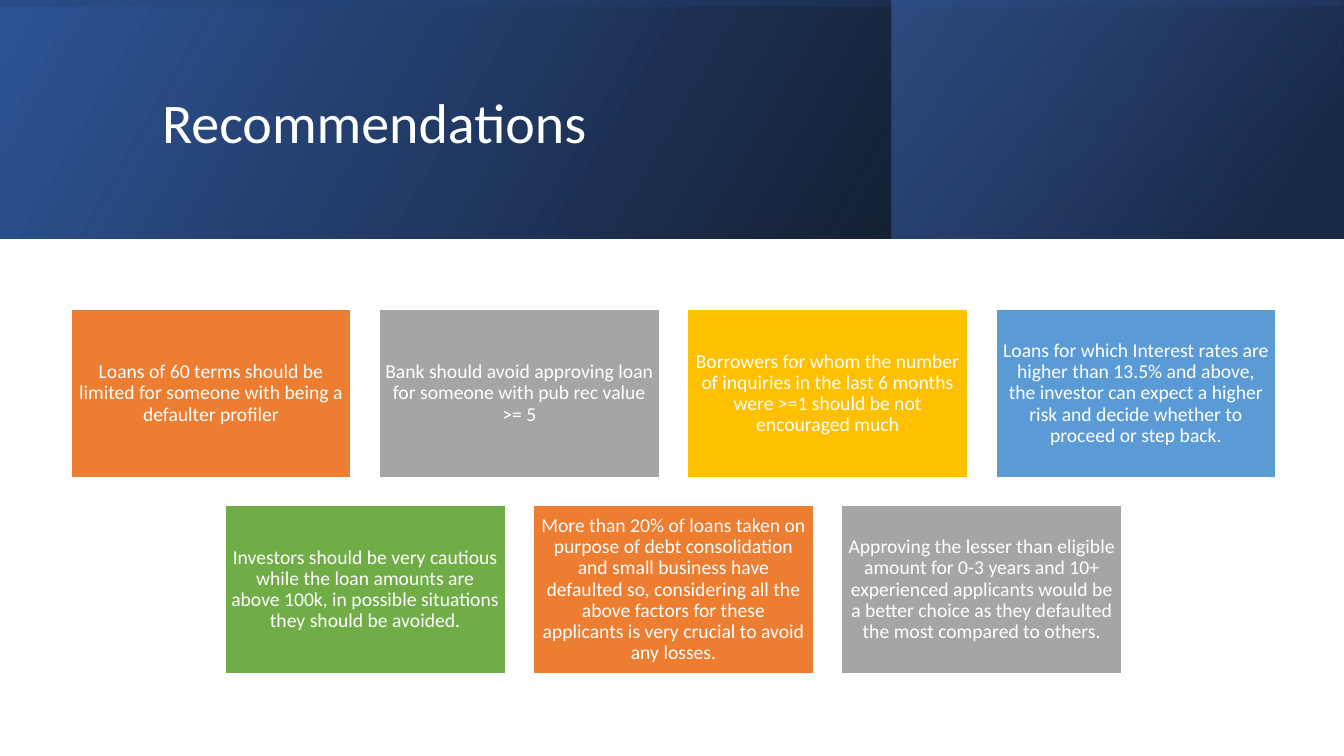
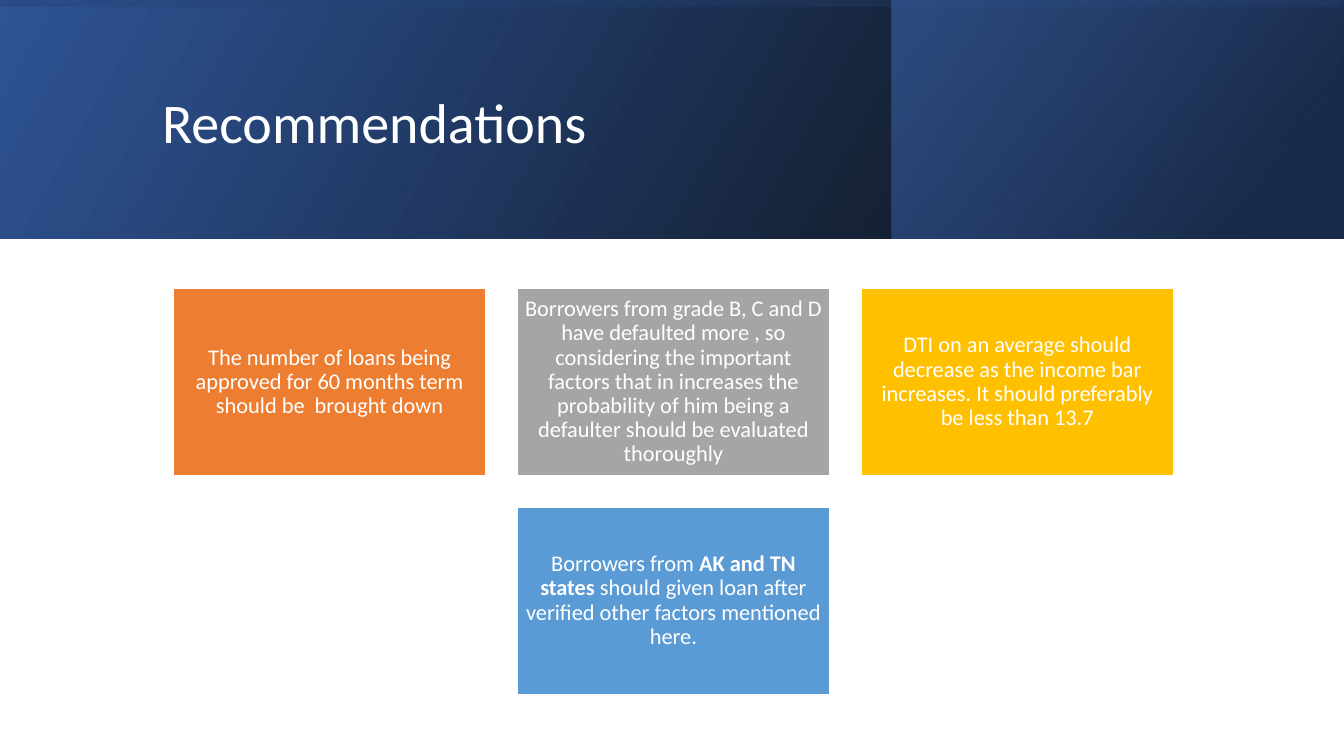
from pptx import Presentation
from pptx.dml.color import RGBColor
from pptx.enum.shapes import MSO_SHAPE
from pptx.enum.text import MSO_ANCHOR, PP_ALIGN
from pptx.oxml.ns import qn
from pptx.util import Inches, Pt
from lxml import etree

RECT = MSO_SHAPE.RECTANGLE
MIDDLE = MSO_ANCHOR.MIDDLE
CENTER = PP_ALIGN.CENTER

THEME = {
    "font": "Calibri",
    "white": "FFFFFF",
    "cards": ["ED7D31", "A5A5A5", "FFC000", "5B9BD5", "70AD47"],
    "title": 40,
    "spacing": 0.9,
}

BANDS = [
    {"box": (0, 0, 13.33, 2.37), "turn": 0, "angle": 30,
     "stops": [(0, "000000", 96), (100, "2F5597", 100)]},
    {"box": (8.84, 0, 4.48, 2.37), "turn": 0, "angle": 40,
     "stops": [(19, "203864", 68), (100, "4472C4", 48)]},
    {"box": (5.48, -5.48, 2.37, 13.33), "turn": 270, "angle": 10,
     "stops": [(23, "2F5597", 16), (99, "000000", 45)]},
]

SLIDES = [
    {"title": "Recommendations", "cols": 4, "top": 3.07, "width": 2.78,
     "size": 14, "inset": 0.06, "cards": [
         "Loans of 60 terms should be limited for someone with being a defaulter profiler",
         "Bank should avoid approving loan for someone with pub rec value >= 5",
         "Borrowers for whom the number of inquiries in the last 6 months were >=1 "
         "should be not encouraged much",
         "Loans for which Interest rates are higher than 13.5% and above, the investor "
         "can expect a higher risk and decide whether to proceed or step back.",
         "Investors should be very cautious while the loan amounts are above 100k, "
         "in possible situations they should be avoided.",
         "More than 20% of loans taken on purpose of debt consolidation and small business "
         "have defaulted so, considering all the above factors for these applicants "
         "is very crucial to avoid any losses.",
         "Approving the lesser than eligible amount for 0-3 years and 10+ experienced "
         "applicants would be a better choice as they defaulted the most compared to others.",
     ]},
    {"title": "Recommendations", "cols": 3, "top": 2.86, "width": 3.1,
     "size": 16, "inset": 0.07, "cards": [
         "The number of loans being approved for 60 months term should be  brought down",
         "Borrowers from grade B, C and D have defaulted more , so considering the important "
         "factors that in increases the probability of him being a defaulter "
         "should be evaluated thoroughly",
         "DTI on an average should decrease as the income bar increases. "
         "It should preferably be less than 13.7",
         "Borrowers from *AK and TN states* should given loan after verified other "
         "factors mentioned here.",
     ]},
]

MID = 6.68
RATIO = 0.6
GAP = 0.1


def color(name):
    return RGBColor.from_string(name)


def add_rect(slide, box):
    shape = slide.shapes.add_shape(RECT, *map(Inches, box))
    shape.shadow.inherit = False
    return shape


def style(para, size):
    para.line_spacing = THEME["spacing"]
    para.font.name = THEME["font"]
    para.font.size = Pt(size)
    para.font.color.rgb = color(THEME["white"])


def add_band(slide, band):
    shape = add_rect(slide, band["box"])
    shape.line.fill.background()
    shape.rotation = band["turn"]
    props = shape._element.spPr
    props.find(qn("a:xfrm")).set("flipH", "1")
    shape.fill.gradient()
    shape.fill.gradient_angle = band["angle"]
    for stop, (place, tint, _) in zip(shape.fill.gradient_stops, band["stops"]):
        stop.position = place / 100
        stop.color.rgb = color(tint)
    for node, (_, _, alpha) in zip(props.iter(qn("a:srgbClr")), band["stops"]):
        etree.SubElement(node, qn("a:alpha")).set("val", str(alpha * 1000))


def add_title(slide, text):
    box = slide.shapes.add_textbox(*map(Inches, (1.51, 0.38, 10.63, 1.72)))
    frame = box.text_frame
    frame.word_wrap = True
    frame.vertical_anchor = MIDDLE
    frame.text = text
    style(frame.paragraphs[0], THEME["title"])


def add_card(slide, box, text, tint, size, inset):
    shape = add_rect(slide, box)
    shape.fill.solid()
    shape.fill.fore_color.rgb = color(tint)
    shape.line.color.rgb = color(THEME["white"])
    shape.line.width = Pt(1)
    frame = shape.text_frame
    frame.word_wrap = True
    frame.vertical_anchor = MIDDLE
    for side in ("left", "top", "right", "bottom"):
        setattr(frame, "margin_" + side, Inches(inset))
    para = frame.paragraphs[0]
    para.alignment = CENTER
    style(para, size)
    for i, part in enumerate(text.split("*")):
        run = para.add_run()
        run.text = part
        if i % 2:
            run.font.bold = True


def add_cards(slide, data):
    cards, cols, width = data["cards"], data["cols"], data["width"]
    high, gap = width * RATIO, width * GAP
    for i, text in enumerate(cards):
        row, col = divmod(i, cols)
        count = min(cols, len(cards) - row * cols)
        left = MID - (count * (width + gap) - gap) / 2
        box = (left + col * (width + gap), data["top"] + row * (high + gap), width, high)
        tint = THEME["cards"][i % len(THEME["cards"])]
        add_card(slide, box, text, tint, data["size"], data["inset"])


def main():
    deck = Presentation()
    deck.slide_width, deck.slide_height = Inches(13.33), Inches(7.5)
    for data in SLIDES:
        slide = deck.slides.add_slide(deck.slide_layouts[6])
        for band in BANDS:
            add_band(slide, band)
        add_title(slide, data["title"])
        add_cards(slide, data)
    deck.save("out.pptx")


if __name__ == "__main__":
    main()
